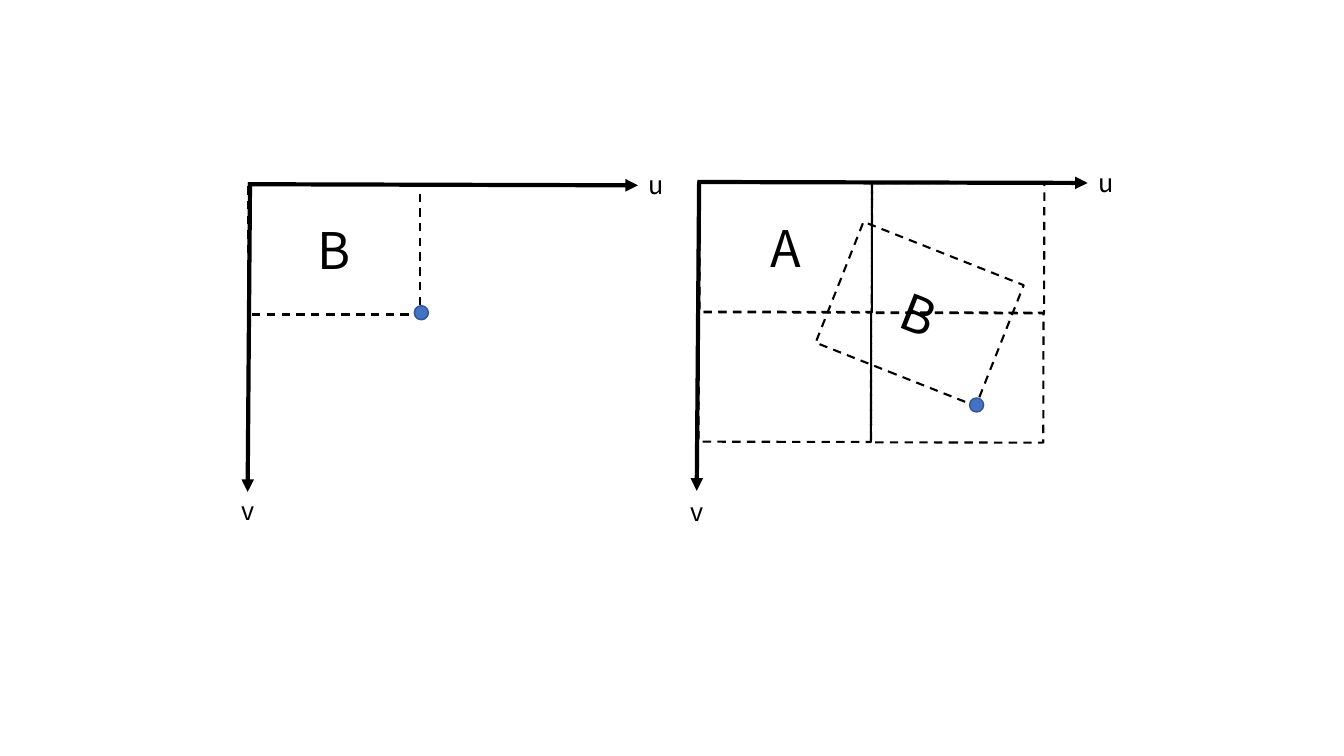
from dataclasses import dataclass

import pptx
import pptx.dml.color
import pptx.enum.dml
import pptx.enum.shapes
import pptx.enum.text
import pptx.oxml
import pptx.oxml.ns
import pptx.util

Pt = pptx.util.Pt
Shape = pptx.enum.shapes.MSO_SHAPE
FONT = "Noto Sans CJK SC"
BLACK = "000000"
CELL_W, CELL_H = 123.1, 92.9
DOT = 10.1


@dataclass
class Cell:
    left: float
    top: float
    text: str = ""
    rotation: float = 0


@dataclass
class Axis:
    x1: float
    y1: float
    x2: float
    y2: float


@dataclass
class Label:
    text: str
    left: float
    top: float
    width: float


@dataclass
class Dot:
    cx: float
    cy: float


def rgb(value: str) -> pptx.dml.color.RGBColor:
    return pptx.dml.color.RGBColor.from_string(value)


def write(tf, text: str, size: float) -> None:
    p = tf.paragraphs[0]
    p.alignment = pptx.enum.text.PP_ALIGN.CENTER
    r = p.add_run()
    r.text = text
    r.font.name = FONT
    r.font.size = Pt(size)
    r.font.color.rgb = rgb(BLACK)


def draw_cell(slide, cell: Cell) -> None:
    sp = slide.shapes.add_shape(Shape.RECTANGLE, Pt(cell.left), Pt(cell.top),
                                Pt(CELL_W), Pt(CELL_H))
    sp.shadow.inherit = False
    sp.rotation = cell.rotation
    sp.fill.background()
    sp.line.color.rgb = rgb(BLACK)
    sp.line.width = Pt(1.5)
    sp.line.dash_style = pptx.enum.dml.MSO_LINE.DASH
    if cell.text:
        sp.text_frame.vertical_anchor = pptx.enum.text.MSO_ANCHOR.MIDDLE
        write(sp.text_frame, cell.text, 36)


def draw_axis(slide, axis: Axis) -> None:
    line = slide.shapes.add_connector(pptx.enum.shapes.MSO_CONNECTOR.STRAIGHT,
                                      Pt(axis.x1), Pt(axis.y1), Pt(axis.x2), Pt(axis.y2))
    line.line.color.rgb = rgb(BLACK)
    line.line.width = Pt(3)
    ln = line.line._get_or_add_ln()
    tail = pptx.oxml.parse_xml(
        f'<a:tailEnd {pptx.oxml.ns.nsdecls("a")} type="triangle"/>')
    ln.append(tail)
    ln.getparent().append(
        pptx.oxml.parse_xml(f'<a:effectLst {pptx.oxml.ns.nsdecls("a")}/>'))


def draw_label(slide, label: Label) -> None:
    sp = slide.shapes.add_textbox(Pt(label.left), Pt(label.top), Pt(label.width), Pt(29))
    tf = sp.text_frame
    tf.word_wrap = False
    tf.auto_size = pptx.enum.text.MSO_AUTO_SIZE.SHAPE_TO_FIT_TEXT
    write(tf, label.text, 18)


def draw_dot(slide, dot: Dot) -> None:
    sp = slide.shapes.add_shape(Shape.OVAL, Pt(dot.cx - DOT / 2), Pt(dot.cy - DOT / 2),
                                Pt(DOT), Pt(DOT))
    sp.shadow.inherit = False
    sp.fill.solid()
    sp.fill.fore_color.rgb = rgb("4472C4")
    sp.line.color.rgb = rgb("325491")
    sp.line.width = Pt(1)


def grid(left: float, top: float, tilt: float) -> list[Cell]:
    names = {(0, 0): "A"}
    return [Cell(left + col * CELL_W - row * 0.6, top + row * 92.4 + col * 0.5,
                 names.get((row, col), ""), tilt)
            for row in range(2) for col in range(2)]


CELLS = [Cell(177.1, 131.8, "B"), *grid(499.7, 130.3, 0.1),
         Cell(595.4, 177.8, "B", 21.6)]
AXES = [
    Axis(177.1, 131.6, 455.8, 132.4),
    Axis(178.6, 130.3, 176.9, 351.4),
    Axis(498.2, 130, 776.9, 130.7),
    Axis(499.4, 129.6, 497.7, 350.6),
]
LABELS = [
    Label("u", 455.8, 117.4, 24.5),
    Label("v", 165.4, 350.4, 23),
    Label("u", 777.8, 115.9, 24.5),
    Label("v", 486, 350.9, 23),
]
DOTS = [Dot(301, 223.4), Dot(697.6, 289.3)]


def main() -> None:
    prs = pptx.Presentation()
    prs.slide_width, prs.slide_height = Pt(960), Pt(540)
    slide = prs.slides.add_slide(prs.slide_layouts[6])
    for cell in CELLS:
        draw_cell(slide, cell)
    for axis in AXES:
        draw_axis(slide, axis)
    for label in LABELS:
        draw_label(slide, label)
    for dot in DOTS:
        draw_dot(slide, dot)
    prs.save("out.pptx")


if __name__ == "__main__":
    main()
